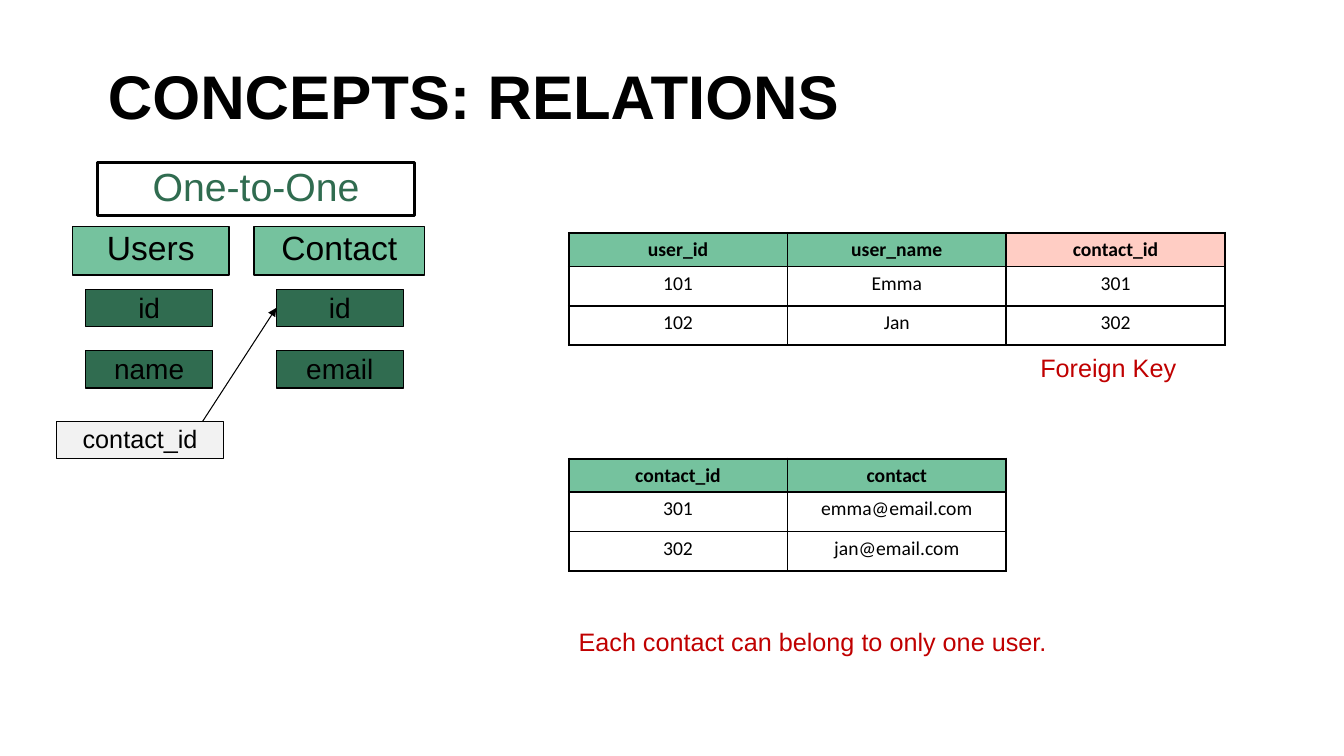
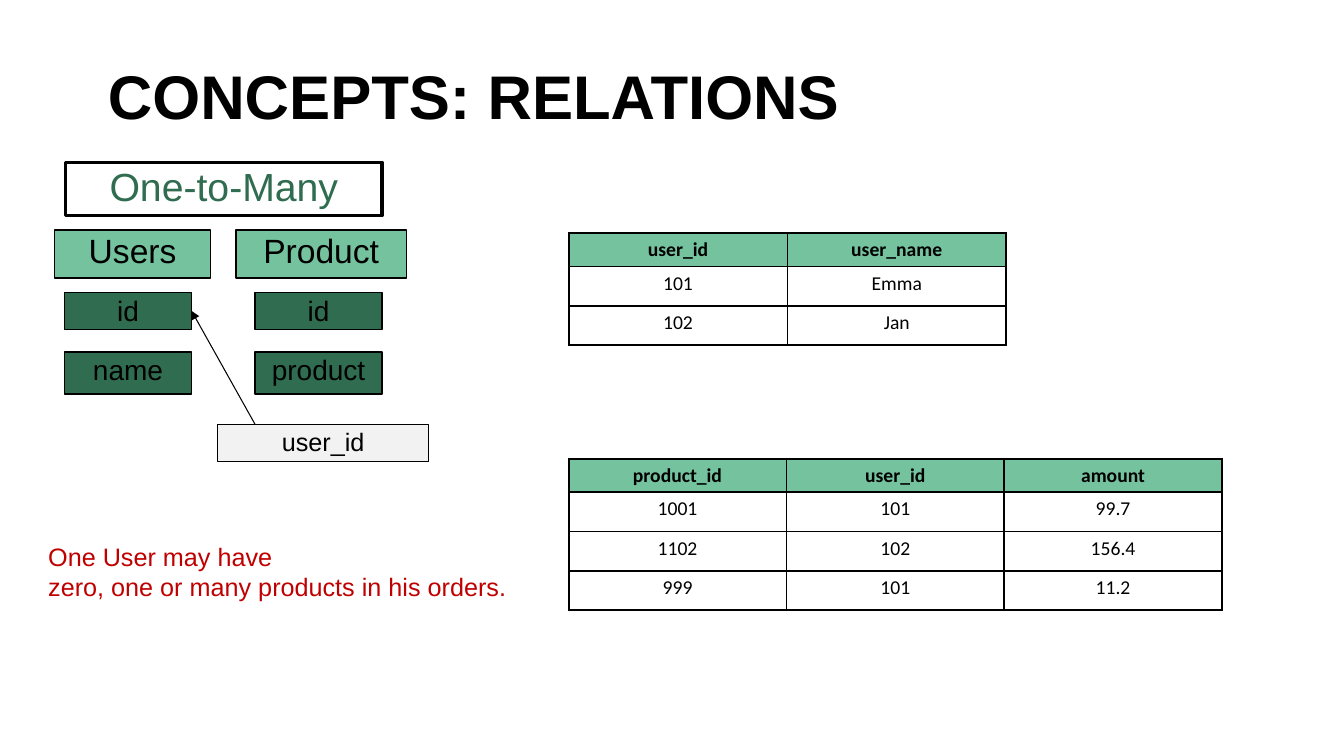
from lxml import etree
from pptx import Presentation, util as u
from pptx.dml.color import RGBColor
from pptx.enum import shapes, text
from pptx.oxml import ns

PX = 9144
BLACK, WHITE, RED = "000000", "FFFFFF", "C00000"
MINT, FOREST, GREY, PINK = "75C29E", "306C50", "F2F2F2", "FFCDC4"
CENTER = text.PP_ALIGN.CENTER
TOP, MIDDLE = text.MSO_ANCHOR.TOP, text.MSO_ANCHOR.MIDDLE

TITLE = dict(name="Arial", size=u.Pt(44), bold=True)
HEADING = dict(name="Arial", size=u.Pt(28))
ENTITY = dict(name="Arial", size=u.Pt(24))
FIELD = dict(name="Arial", size=u.Pt(20))
NOTE = dict(name="Arial", size=u.Pt(18))
CELL = dict(name="Calibri", size=u.Pt(14))

HEADER_H, ROW_H = 33, 39
COLUMN_STEP, FIELD_STEP = 180, 189
FIELD_W, FIELD_H = 126, 37


def px(*values):
    return [u.Emu(v * PX) for v in values]


def rgb(value):
    return RGBColor.from_string(value)


def assign(obj, fmt):
    for key, value in fmt.items():
        setattr(obj, key, value)


def write(p, words, fmt, color=BLACK, **layout):
    assign(p, layout)
    p.text = words
    for r in p.runs:
        assign(r.font, fmt)
        r.font.color.rgb = rgb(color)


def tighten(tf, anchor):
    sides = ("left", "top", "right", "bottom")
    assign(tf, {f"margin_{side}": u.Emu(5 * PX) for side in sides})
    assign(tf, dict(word_wrap=True, vertical_anchor=anchor))


def add_box(s, box, words, fmt, fill=None, color=BLACK, weight=1, anchor=TOP):
    sp = s.shapes.add_shape(shapes.MSO_SHAPE.RECTANGLE, *px(*box))
    sp.shadow.inherit = False
    if fill:
        sp.fill.solid()
        sp.fill.fore_color.rgb = rgb(fill)
    else:
        sp.fill.background()
    sp.line.color.rgb = rgb(BLACK)
    sp.line.width = u.Pt(weight)
    tighten(sp.text_frame, anchor)
    write(sp.text_frame.paragraphs[0], words, fmt, color,
          alignment=CENTER, line_spacing=0.9)
    return sp


def add_title(s):
    tf = s.shapes.add_textbox(*px(102, 54, 807, 89)).text_frame
    tighten(tf, MIDDLE)
    write(tf.paragraphs[0], "CONCEPTS: RELATIONS", TITLE, line_spacing=0.9)


def add_note(s, box, words):
    tf = s.shapes.add_textbox(*px(*box)).text_frame
    assign(tf, dict(word_wrap=True, auto_size=text.MSO_AUTO_SIZE.SHAPE_TO_FIT_TEXT))
    write(tf.paragraphs[0], words, NOTE, RED)


def add_arrow(s, start, target, site):
    cx = s.shapes.add_connector(shapes.MSO_CONNECTOR.STRAIGHT, *px(*start, *start))
    cx.end_connect(target, site)
    cx.line.color.rgb = rgb(BLACK)
    cx.line.width = u.Pt(0.75)
    etree.SubElement(cx.line._get_or_add_ln(), ns.qn("a:tailEnd"), type="triangle")
    etree.SubElement(cx._element.spPr, ns.qn("a:effectLst"))


def add_diagram(s, left, top, heading, heading_dx, entities, inset, row_gap,
                field_h, key, key_dx, key_w, target, site, arrow_dx):
    add_box(s, (left + heading_dx, 161, 314, 53), heading, HEADING,
            color=FOREST, weight=2.25, anchor=MIDDLE)
    ids = []
    for i, (name, width, field) in enumerate(entities):
        add_box(s, (left + i * COLUMN_STEP, top, width, 48), name, ENTITY, MINT)
        x, y = left + inset + i * FIELD_STEP, top + 62
        ids.append(add_box(s, (x, y, FIELD_W, FIELD_H), "id", FIELD, FOREST))
        add_box(s, (x, y + row_gap, FIELD_W, field_h), field, FIELD, FOREST)
    key_top = top + 193
    add_box(s, (left + key_dx, key_top, key_w, FIELD_H), key, NOTE, GREY)
    add_arrow(s, (left + arrow_dx, key_top), ids[target], site)


def outline_cell(cell):
    tcPr = cell._tc.get_or_add_tcPr()
    for i, side in enumerate("LRTB"):
        ln = etree.Element(ns.qn(f"a:ln{side}"), w=str(u.Pt(1.5)))
        fill = etree.SubElement(ln, ns.qn("a:solidFill"))
        etree.SubElement(fill, ns.qn("a:srgbClr"), val=BLACK)
        tcPr.insert(i, ln)


def add_grid(s, left, top, col_w, rows, foreign_key=None):
    n_rows, n_cols = len(rows), len(rows[0])
    box = (left, top, n_cols * col_w, HEADER_H + (n_rows - 1) * ROW_H)
    table = s.shapes.add_table(n_rows, n_cols, *px(*box)).table
    table.horz_banding = False
    for col in table.columns:
        col.width = u.Emu(col_w * PX)
    for i, row in enumerate(rows):
        table.rows[i].height = u.Emu((ROW_H if i else HEADER_H) * PX)
        for j, words in enumerate(row):
            cell = table.cell(i, j)
            header = PINK if j == foreign_key else MINT
            cell.fill.solid()
            cell.fill.fore_color.rgb = rgb(WHITE if i else header)
            outline_cell(cell)
            write(cell.text_frame.paragraphs[0], words, dict(CELL, bold=i == 0),
                  alignment=CENTER)


def one_to_one(s):
    add_title(s)
    add_diagram(s, 72, 225, "One-to-One", 25,
                [("Users", 155, "name"), ("Contact", 169, "email")],
                inset=13, row_gap=61, field_h=37, key="contact_id", key_dx=-16,
                key_w=166, target=1, site=1, arrow_dx=129)
    add_grid(s, 564, 231, 217, [("user_id", "user_name", "contact_id"),
                                ("101", "Emma", "301"),
                                ("102", "Jan", "302")], foreign_key=2)
    add_grid(s, 564, 455, 217, [("contact_id", "contact"),
                                ("301", "emma@email.com"),
                                ("302", "jan@email.com")])
    add_note(s, (564, 616, 621, 40), "Each contact can belong to only one user.")
    add_note(s, (1022, 345, 163, 40), "Foreign Key")


def one_to_many(s):
    add_title(s)
    add_diagram(s, 54, 228, "One-to-Many", 11,
                [("Users", 155, "name"), ("Product", 169, "product")],
                inset=10, row_gap=59, field_h=42, key="user_id", key_dx=162,
                key_w=209, target=0, site=3, arrow_dx=199)
    add_grid(s, 564, 231, 217, [("user_id", "user_name"),
                                ("101", "Emma"),
                                ("102", "Jan")])
    add_grid(s, 564, 455, 216, [("product_id", "user_id", "amount"),
                                ("1001", "101", "99.7"),
                                ("1102", "102", "156.4"),
                                ("999", "101", "11.2")])
    add_note(s, (38, 532, 484, 71),
             "One User may have\vzero, one or many products in his orders.")


def main():
    prs = Presentation()
    prs.slide_width, prs.slide_height = px(1333, 750)
    for build in (one_to_one, one_to_many):
        build(prs.slides.add_slide(prs.slide_layouts[6]))
    prs.save("out.pptx")


if __name__ == "__main__":
    main()
